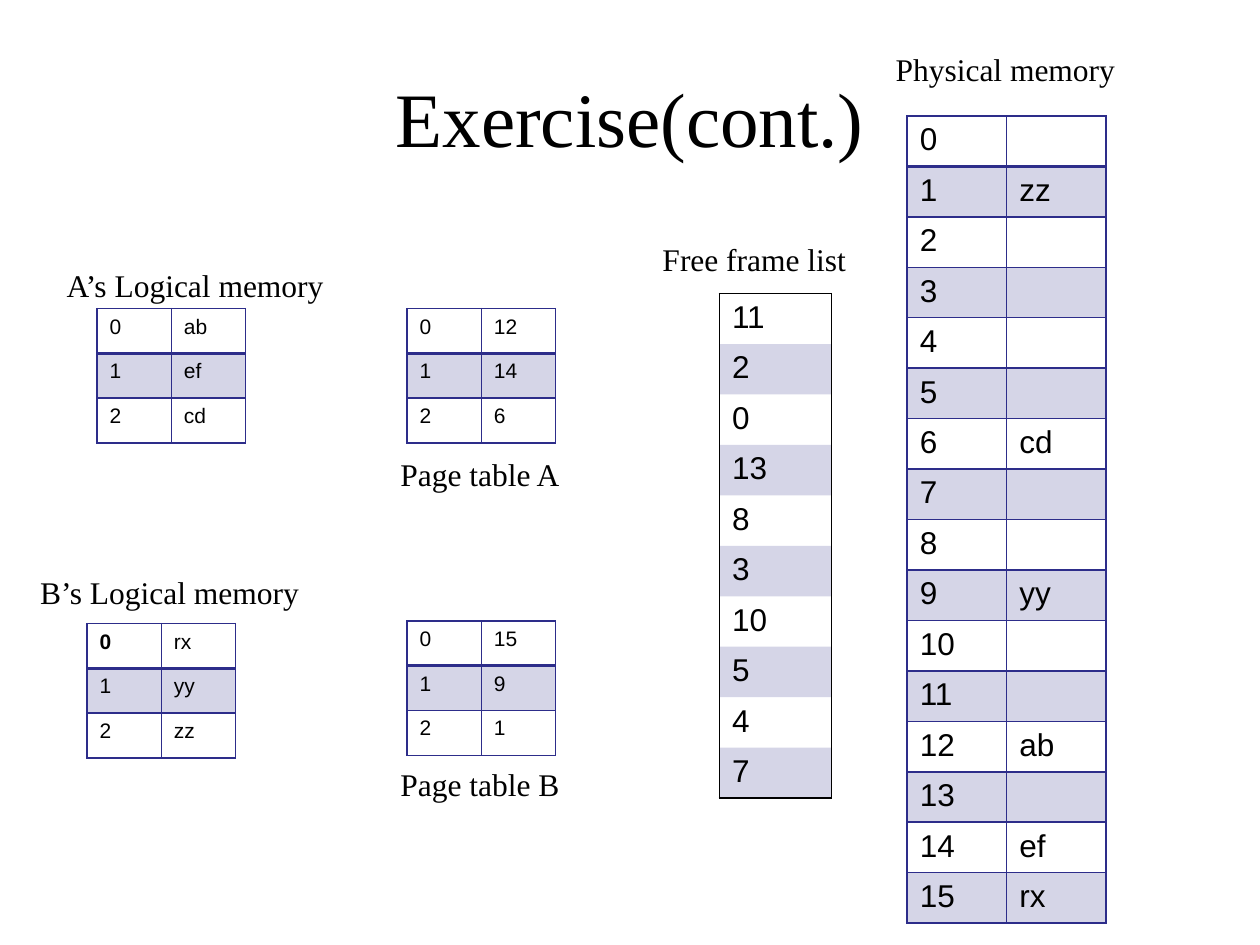
from lxml.etree import fromstring
from pptx import Presentation
from pptx.dml.color import RGBColor
from pptx.enum.text import MSO_ANCHOR, PP_ALIGN
from pptx.oxml.ns import nsdecls
from pptx.util import Inches, Pt

BLACK, NAVY = "000000", "2D2D8A"
BAND_ALPHA = 20000

# text, left, top, width
LABELS = [
    ("Free frame list", 5.16, 1.86, 1.76),
    ("Physical memory", 7.01, 0.35, 1.96),
    ("A’s Logical memory", 0.43, 2.06, 2.36),
    ("B’s Logical memory", 0.22, 4.5, 2.28),
    ("Page table A", 3.08, 3.56, 1.5),
    ("Page table B", 3.08, 6.02, 1.5),
]

# left, top, second column of a three-page table, whether the first cell is bold
PAGE_TABLES = [
    (0.77, 2.45, ["ab", "ef", "cd"], False),
    (3.23, 2.45, ["12", "14", "6"], False),
    (3.23, 4.93, ["15", "9", "1"], False),
    (0.69, 4.95, ["rx", "yy", "zz"], True),
]

FREE_FRAMES = [11, 2, 0, 13, 8, 3, 10, 5, 4, 7]
FRAME_COUNT = 16
FRAME_CONTENTS = {1: "zz", 6: "cd", 9: "yy", 12: "ab", 14: "ef", 15: "rx"}


def color(value):
    return RGBColor.from_string(value)


def set_font(font, name, size):
    font.name = name
    font.size = Pt(size)
    font.color.rgb = color(BLACK)


def add_text(slide, text, left, top, width, height=0.4, size=18):
    box = slide.shapes.add_textbox(Inches(left), Inches(top), Inches(width), Inches(height))
    box.text_frame.word_wrap = True
    paragraph = box.text_frame.paragraphs[0]
    paragraph.text = text
    set_font(paragraph.font, "Times New Roman", size)
    return box.text_frame


def set_borders(cell, borders):
    """Draw (colour, points) borders in the order left, right, top, bottom; None hides one."""
    properties = cell._tc.get_or_add_tcPr()
    for index, (side, border) in enumerate(zip("LRTB", borders)):
        if border:
            line_color, points = border
            paint = f'<a:solidFill><a:srgbClr val="{line_color}"/></a:solidFill>'
        else:
            points, paint = 1, "<a:noFill/>"
        line = f'<a:ln{side} {nsdecls("a")} w="{Pt(points)}">{paint}</a:ln{side}>'
        properties.insert(index, fromstring(line))


def grid_borders(row, row_count):
    thin, thick = (NAVY, 1), (NAVY, 2)
    return thin, thin, thick if row == 1 else thin, thick if row == 0 else thin


def frame_borders(row, row_count):
    line = (BLACK, 1)
    return line, line, line if row == 0 else None, line if row == row_count - 1 else None


def add_banded_table(slide, rows, left, top, column_width, row_height, size, borders):
    row_count, column_count = len(rows), len(rows[0])
    table = slide.shapes.add_table(
        row_count, column_count, Inches(left), Inches(top),
        Inches(column_width * column_count), Inches(row_height * row_count)).table
    table.first_row = table.horz_banding = False
    for column in table.columns:
        column.width = Inches(column_width)
    for row, values in enumerate(rows):
        table.rows[row].height = Inches(row_height)
        for column, value in enumerate(values):
            cell = table.cell(row, column)
            paragraph = cell.text_frame.paragraphs[0]
            if value != "":
                paragraph.text = str(value)
            set_font(paragraph.font, "Arial", size)
            if row % 2:
                cell.fill.solid()
                cell.fill.fore_color.rgb = color(NAVY)
                fill_color = cell._tc.tcPr.find(".//{*}srgbClr")
                fill_color.append(fromstring(f'<a:alpha {nsdecls("a")} val="{BAND_ALPHA}"/>'))
            else:
                cell.fill.background()
            set_borders(cell, borders(row, row_count))
    return table


def main():
    presentation = Presentation()
    presentation.slide_width, presentation.slide_height = Inches(10), Inches(7.5)
    slide = presentation.slides.add_slide(presentation.slide_layouts[6])

    title = add_text(slide, "Exercise(cont.)", 0.5, 0.3, 9, 1.25, 44)
    title.vertical_anchor = MSO_ANCHOR.MIDDLE
    title.paragraphs[0].alignment = PP_ALIGN.CENTER

    for label in LABELS:
        add_text(slide, *label)

    for left, top, contents, bold_first in PAGE_TABLES:
        table = add_banded_table(slide, list(enumerate(contents)), left, top,
                                 0.59, 0.355, 12, grid_borders)
        if bold_first:
            table.cell(0, 0).text_frame.paragraphs[0].font.bold = True

    add_banded_table(slide, [[frame] for frame in FREE_FRAMES], 5.71, 2.33,
                     0.89, 0.4, 18, frame_borders)
    memory = [(frame, FRAME_CONTENTS.get(frame, "")) for frame in range(FRAME_COUNT)]
    add_banded_table(slide, memory, 7.2, 0.92, 0.79, 0.38, 18, grid_borders)

    presentation.save("out.pptx")


if __name__ == "__main__":
    main()
